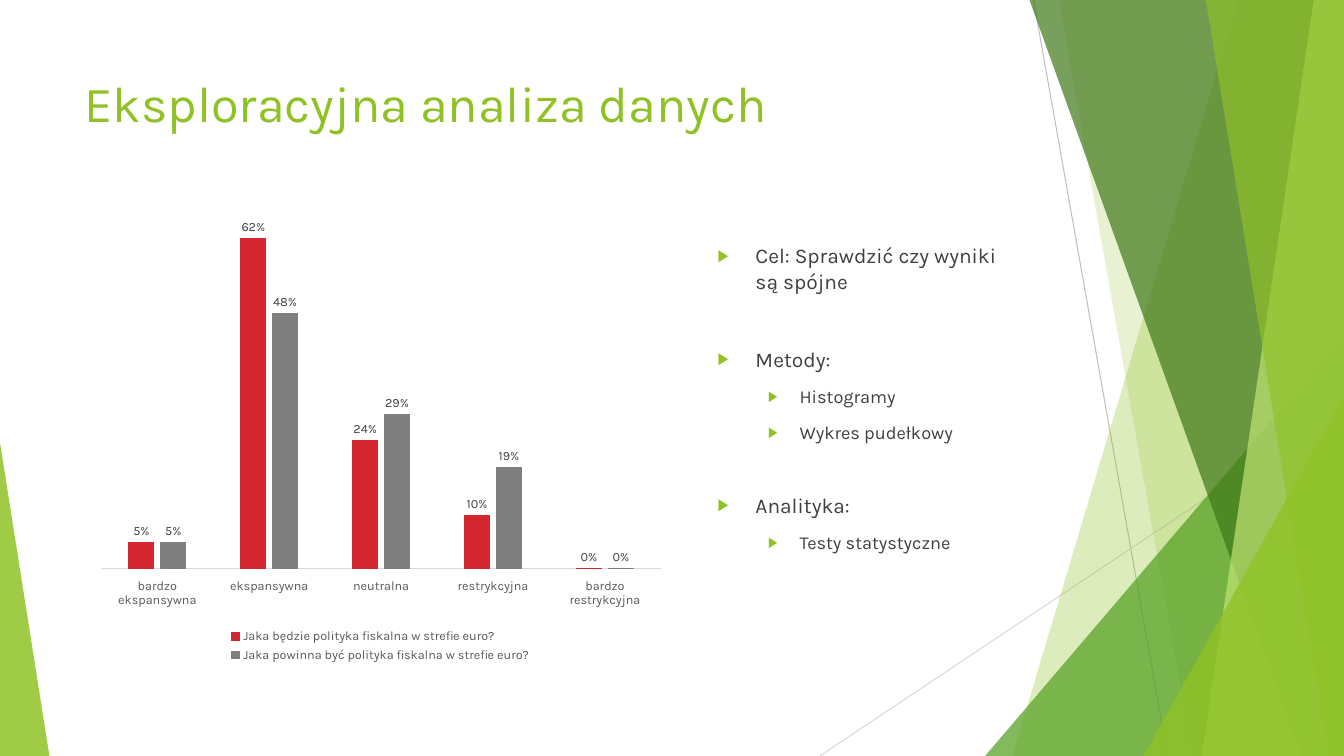
import dataclasses

import pptx
import pptx.chart.data
import pptx.dml.color
import pptx.enum.chart
import pptx.enum.shapes
import pptx.enum.text
import pptx.oxml
import pptx.oxml.ns
import pptx.util
from lxml import etree

RGB = pptx.dml.color.RGBColor
LIME = RGB(0x90, 0xC2, 0x26)
PALE_LIME = RGB(0xC0, 0xE4, 0x74)
GREEN = RGB(0x54, 0xA0, 0x21)
DARK_GREEN = RGB(0x3F, 0x78, 0x19)
RED = RGB(0xD2, 0x26, 0x30)
GREY = RGB(0x7F, 0x7F, 0x7F)
TEXT = RGB(0x40, 0x40, 0x40)
AXIS_TEXT = RGB(0x59, 0x59, 0x59)
RULE = RGB(0xBF, 0xBF, 0xBF)
LIGHT_RULE = RGB(0xD9, 0xD9, 0xD9)
FONT = "Karla"
SLIDE_WIDTH, SLIDE_HEIGHT = pptx.util.Inches(13.33), pptx.util.Inches(7.5)


@dataclasses.dataclass
class Box:
    """A region in EMU; its inner positions are percentages of its size."""
    left: int
    top: int
    width: int
    height: int

    def point(self, x, y):
        return (round(self.left + self.width * x / 100),
                round(self.top + self.height * y / 100))

    def region(self, x, y, width, height):
        return Box(*self.point(x, y), round(self.width * width / 100),
                   round(self.height * height / 100))

    def place(self):
        return self.left, self.top, self.width, self.height


def style_font(font, size, color):
    font.name, font.size = FONT, pptx.util.Pt(size)
    font.color.rgb = color


def write(paragraph, text, size=15, color=TEXT, before=0, indent=None, hanging=0):
    """Write one paragraph; an indent in points gives it an arrow bullet."""
    run = paragraph.add_run()
    run.text = text
    style_font(run.font, size, color)
    paragraph.alignment = pptx.enum.text.PP_ALIGN.LEFT
    paragraph.space_before = pptx.util.Pt(before)
    if indent is None:
        return
    properties = paragraph._p.get_or_add_pPr()
    properties.set("marL", str(pptx.util.Pt(indent)))
    properties.set("indent", str(-pptx.util.Pt(hanging)))
    bullet_color = etree.SubElement(properties, pptx.oxml.ns.qn("a:buClr"))
    etree.SubElement(bullet_color, pptx.oxml.ns.qn("a:srgbClr"), val=str(LIME))
    etree.SubElement(properties, pptx.oxml.ns.qn("a:buSzPct"), val="80000")
    etree.SubElement(properties, pptx.oxml.ns.qn("a:buFont"), typeface="Arial")
    etree.SubElement(properties, pptx.oxml.ns.qn("a:buChar"), char="▶")


def paint(facet, color, opacity):
    facet.shadow.inherit = False
    facet.fill.solid()
    facet.fill.fore_color.rgb = color
    facet.line.fill.background()
    rgb = facet._element.spPr.find(".//" + pptx.oxml.ns.qn("a:srgbClr"))
    etree.SubElement(rgb, pptx.oxml.ns.qn("a:alpha"), val=str(opacity * 1000))


def add_triangle(slide, box, apex, color, opacity):
    triangle = slide.shapes.add_shape(
        pptx.enum.shapes.MSO_SHAPE.ISOSCELES_TRIANGLE, *box.place())
    triangle.adjustments[0] = apex
    paint(triangle, color, opacity)


def add_facets(slide, box):
    # Thin crossing lines
    for start, end, color in (((40.77, 0), (66.35, 100), RULE),
                              ((100, 53.73), (0, 100), LIGHT_RULE)):
        rule = slide.shapes.add_connector(
            pptx.enum.shapes.MSO_CONNECTOR.STRAIGHT, *box.point(*start), *box.point(*end))
        rule.line.color.rgb, rule.line.width = color, pptx.util.Pt(0.75)
        etree.SubElement(rule._element.spPr, pptx.oxml.ns.qn("a:effectLst"))

    # Bands: x at top and bottom; corners: left and top. All end at the right edge.
    for kind, first, second, color, opacity in (
            ("band", 79.81, 36.73, LIME, 30),
            ("band", 45.58, 71.15, LIME, 20),
            ("corner", 31.54, 44.4, GREEN, 72),
            ("band", 40, 91.92, DARK_GREEN, 70),
            ("band", 94.23, 72.88, PALE_LIME, 70),
            ("band", 73.65, 97.12, LIME, 65),
            ("corner", 61.73, 52.4, LIME, 80)):
        if kind == "corner":
            corner = box.region(first, second, 100 - first, 100 - second)
            add_triangle(slide, corner, 1, color, opacity)
            continue
        outline = slide.shapes.build_freeform(*box.point(first, 0))
        outline.add_line_segments(
            [box.point(100, 0), box.point(100, 100), box.point(second, 100)], close=True)
        paint(outline.convert_to_shape(), color, opacity)


def add_title(slide, box):
    title = slide.shapes.title
    title.left, title.top, title.width, title.height = box.place()
    title.text_frame.vertical_anchor = pptx.enum.text.MSO_ANCHOR.TOP
    write(title.text_frame.paragraphs[0], "Eksploracyjna analiza danych", size=36, color=LIME)


def add_plan(slide, box):
    frame = slide.shapes.add_textbox(*box.place()).text_frame
    frame.word_wrap = True
    topic = dict(size=15, indent=27, hanging=27)
    detail = dict(size=13, indent=58.5, hanging=22.5, before=10)
    plan = (("Cel: Sprawdzić czy wyniki są spójne", topic),
            ("Metody:", dict(topic, before=38)),
            ("Histogramy", detail),
            ("Wykres pudełkowy", detail),
            ("Analityka:", dict(topic, before=35)),
            ("Testy statystyczne", detail))
    for number, (text, style) in enumerate(plan):
        paragraph = frame.add_paragraph() if number else frame.paragraphs[0]
        write(paragraph, text, **style)


def add_survey_chart(slide, box):
    survey = pptx.chart.data.CategoryChartData(number_format="0%")
    survey.categories = ["bardzo ekspansywna", "ekspansywna", "neutralna",
                         "restrykcyjna", "bardzo restrykcyjna"]
    survey.add_series("Jaka będzie polityka fiskalna w strefie euro?",
                      (0.05, 0.62, 0.24, 0.1, 0))
    survey.add_series("Jaka powinna być polityka fiskalna w strefie euro?",
                      (0.05, 0.48, 0.29, 0.19, 0))
    chart = slide.shapes.add_chart(
        pptx.enum.chart.XL_CHART_TYPE.COLUMN_CLUSTERED, *box.place(), survey).chart
    style_font(chart.font, 10, TEXT)
    chart.has_title = False

    # Axes and legend
    answers, shares = chart.category_axis, chart.value_axis
    answers.major_tick_mark = pptx.enum.chart.XL_TICK_MARK.NONE
    answers.tick_label_position = pptx.enum.chart.XL_TICK_LABEL_POSITION.LOW
    answers.format.line.color.rgb = LIGHT_RULE
    answers.format.line.width = pptx.util.Pt(0.75)
    style_font(answers.tick_labels.font, 9, AXIS_TEXT)
    shares.visible = shares.has_major_gridlines = False
    shares.minimum_scale, shares.maximum_scale = 0, 0.7
    chart.has_legend = True
    chart.legend.position = pptx.enum.chart.XL_LEGEND_POSITION.BOTTOM
    chart.legend.include_in_layout = False
    style_font(chart.legend.font, 9, AXIS_TEXT)

    # Columns and their labels
    columns = chart.plots[0]
    columns.vary_by_categories = False
    columns.gap_width, columns.overlap = 219, -27
    for question, color in zip(columns.series, (RED, GREY)):
        question.format.fill.solid()
        question.format.fill.fore_color.rgb = color
        question.format.line.color.rgb = color
        question.format.line.width = pptx.util.Pt(0.75)
        labels = question.data_labels
        labels.show_value = True
        labels.number_format, labels.number_format_is_linked = "0%", False
        labels.position = pptx.enum.chart.XL_LABEL_POSITION.OUTSIDE_END
        style_font(labels.font, 9, TEXT)


def main():
    deck = pptx.Presentation()
    deck.slide_width, deck.slide_height = SLIDE_WIDTH, SLIDE_HEIGHT
    slide = deck.slides.add_slide(deck.slide_layouts.get_by_name("Title Only"))
    page = Box(0, 0, SLIDE_WIDTH, SLIDE_HEIGHT)
    add_facets(slide, page.region(61, 0, 39, 100))
    add_triangle(slide, page.region(0, 58.53, 3.68, 41.47), 0, LIME, 85)
    add_title(slide, page.region(5.55, 8.93, 70.52, 19.2))
    add_plan(slide, page.region(52.66, 31.47, 24, 56.53))
    add_survey_chart(slide, page.region(6.68, 24.67, 43.36, 63.47))
    deck.save("out.pptx")


if __name__ == "__main__":
    main()
